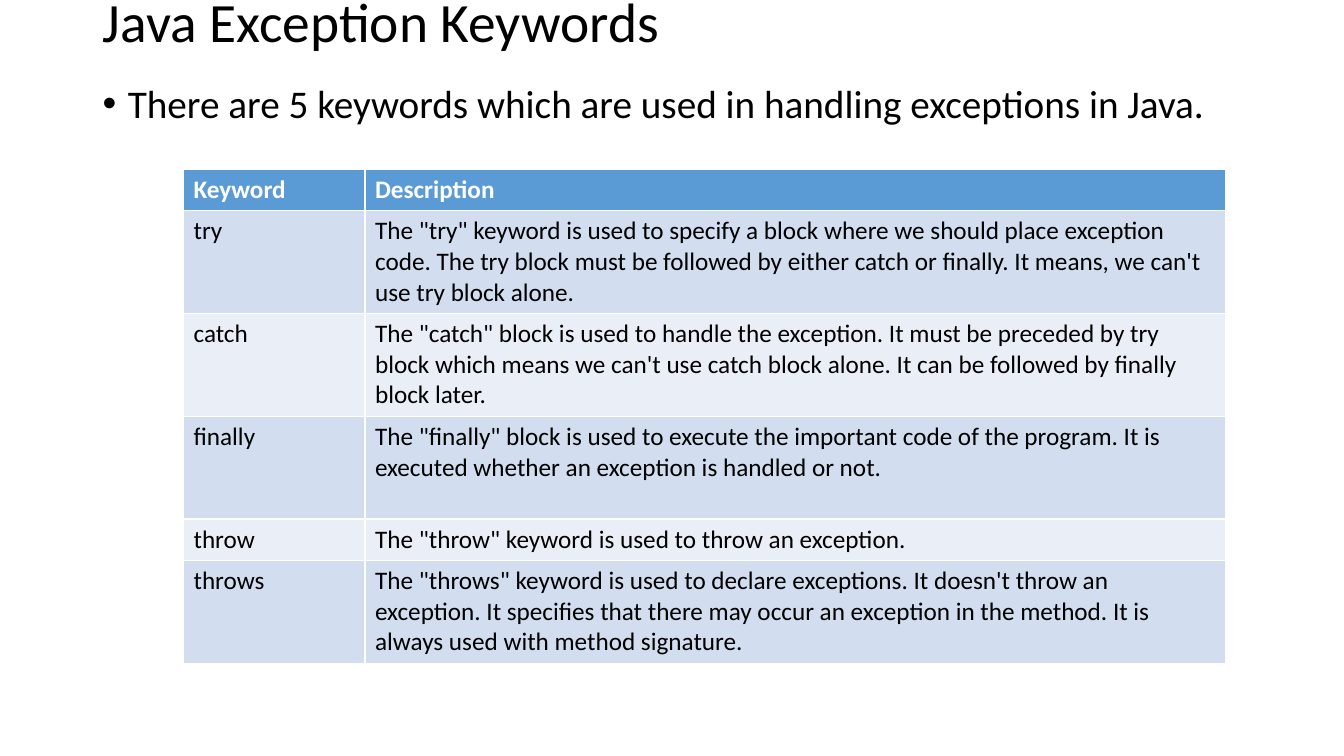
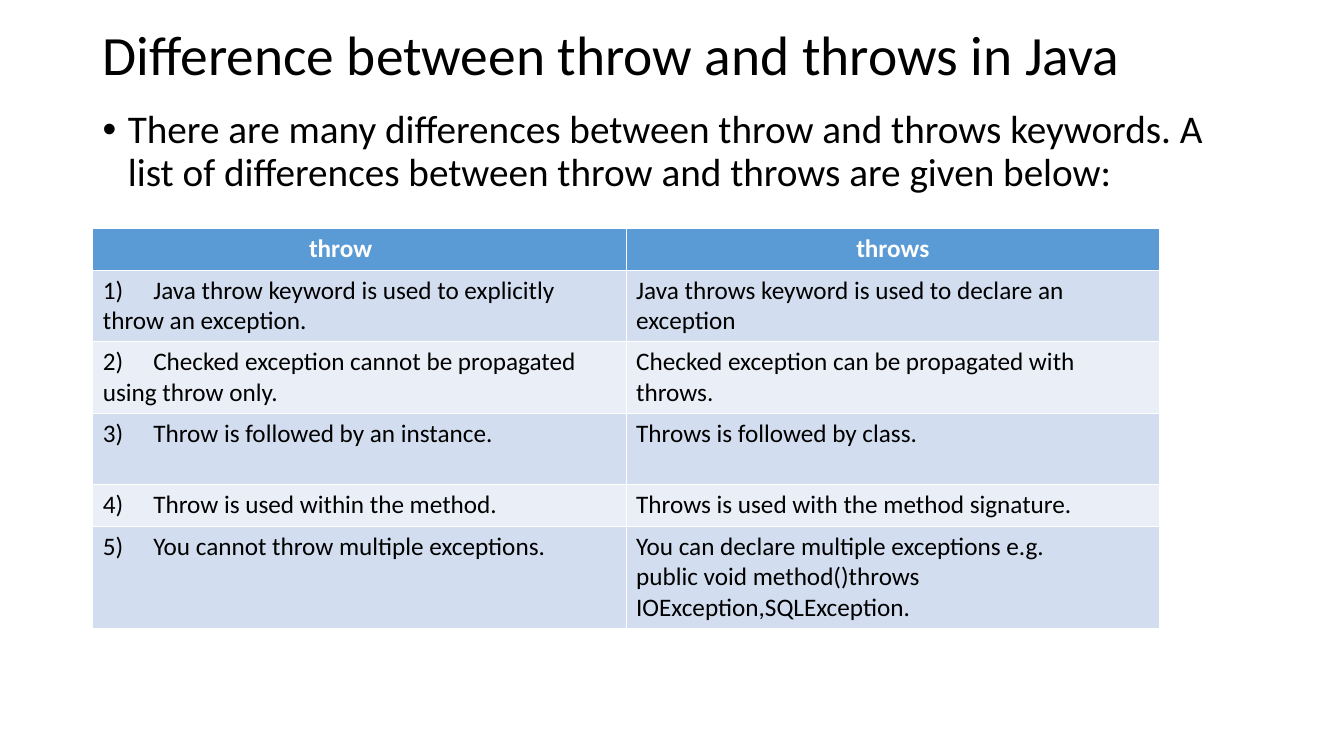
from dataclasses import dataclass

from lxml.etree import SubElement
from pptx import Presentation
from pptx.dml.color import RGBColor as RGB
from pptx.enum.text import MSO_ANCHOR as Anchor, MSO_AUTO_SIZE as Fit, PP_ALIGN as Align
from pptx.oxml.ns import qn
from pptx.util import Inches, Pt


@dataclass(frozen=True)
class Theme:
    face: str = "Calibri"
    ink: str = "000000"
    white: str = "FFFFFF"
    head: str = "5B9BD5"
    bands: tuple = ("D2DEEF", "EAEFF7")
    title: float = 39.6
    body: float = 28
    cell: float = 18
    left: float = 0.92
    width: float = 11.5
    line: float = 0.9


THEME = Theme()
ROWS = {1: 0.41, 2: 0.71, 3: 1.02}

SLIDES = [
    {
        "title": "Java Exception Keywords",
        "title_at": (0.1, 0.29),
        "lead": "There are 5 keywords which are used in handling exceptions in Java.",
        "lead_at": (0.79, 0.7),
        "grid_at": (1.82, 1.68),
        "cols": (1.8, 8.54),
        "lines": (1, 3, 3, 3, 1, 3),
        "align": Align.LEFT,
        "cells": [
            ("Keyword", "Description"),
            ("try", 'The "try" keyword is used to specify a block where we should place '
                    "exception code. The try block must be followed by either catch or "
                    "finally. It means, we can't use try block alone."),
            ("catch", 'The "catch" block is used to handle the exception. It must be '
                      "preceded by try block which means we can't use catch block alone. "
                      "It can be followed by finally block later."),
            ("finally", 'The "finally" block is used to execute the important code of the '
                        "program. It is executed whether an exception is handled or not."),
            ("throw", 'The "throw" keyword is used to throw an exception.'),
            ("throws", 'The "throws" keyword is used to declare exceptions. It doesn\'t '
                       "throw an exception. It specifies that there may occur an exception "
                       "in the method. It is always used with method signature."),
        ],
    },
    {
        "title": "Difference between throw and throws in Java",
        "title_at": (0.4, 0.34),
        "lead": "There are many differences between throw and throws keywords. "
                "A list of differences between throw and throws are given below:",
        "lead_at": (1.04, 1.1),
        "grid_at": (0.92, 2.27),
        "cols": (5.29, 5.29),
        "lines": (1, 2, 2, 2, 1, 3),
        "align": Align.CENTER,
        "cells": [
            ("throw\t", "throws"),
            ("1)\tJava throw keyword is used to explicitly throw an exception.",
             "Java throws keyword is used to declare an exception"),
            ("2)\tChecked exception cannot be propagated using throw only.",
             "Checked exception can be propagated with throws."),
            ("3)\tThrow is followed by an instance.", "Throws is followed by class."),
            ("4)\tThrow is used within the method.",
             "Throws is used with the method signature."),
            ("5)\tYou cannot throw multiple exceptions.",
             "You can declare multiple exceptions e.g.\n"
             "public void method()throws IOException,SQLException."),
        ],
    },
]


def style(para, size, color=THEME.ink, bold=False):
    font = para.font
    font.name, font.size, font.bold = THEME.face, Pt(size), bold
    font.color.rgb = RGB.from_string(color)


def add_title(slide, text, top, height):
    shape = slide.shapes.title
    shape.left, shape.top = Inches(THEME.left), Inches(top)
    shape.width, shape.height = Inches(THEME.width), Inches(height)
    frame = shape.text_frame
    frame.text = text
    frame.auto_size = Fit.NONE
    frame.vertical_anchor = Anchor.MIDDLE
    para = frame.paragraphs[0]
    para.alignment, para.line_spacing = Align.LEFT, THEME.line
    style(para, THEME.title)


def add_lead(slide, text, top, height):
    box = slide.shapes.add_textbox(
        Inches(THEME.left), Inches(top), Inches(THEME.width), Inches(height))
    frame = box.text_frame
    frame.word_wrap = True
    para = frame.paragraphs[0]
    para.text = text
    para.line_spacing, para.space_before = THEME.line, Pt(10)
    style(para, THEME.body)
    props = para._p.get_or_add_pPr()
    props.set("marL", str(Inches(0.25)))
    props.set("indent", str(Inches(-0.25)))
    bullet = SubElement(props, qn("a:buFont"))
    bullet.set("typeface", "Arial")
    SubElement(props, qn("a:buChar")).set("char", "•")
    props.append(props.find(qn("a:defRPr")))


def add_grid(slide, data):
    cells, cols = data["cells"], data["cols"]
    highs = [ROWS[count] for count in data["lines"]]
    left, top = data["grid_at"]
    table = slide.shapes.add_table(
        len(cells), len(cols), Inches(left), Inches(top),
        Inches(sum(cols)), Inches(sum(highs))).table
    for col, width in zip(table.columns, cols):
        col.width = Inches(width)
    for num, (row, high, texts) in enumerate(zip(table.rows, highs, cells)):
        row.height = Inches(high)
        head = num == 0
        fill = THEME.head if head else THEME.bands[(num - 1) % 2]
        for cell, text in zip(row.cells, texts):
            cell.text = text
            cell.fill.solid()
            cell.fill.fore_color.rgb = RGB.from_string(fill)
            for para in cell.text_frame.paragraphs:
                para.alignment = data["align"] if head else Align.LEFT
                style(para, THEME.cell, THEME.white if head else THEME.ink, head)


def main():
    deck = Presentation()
    deck.slide_width, deck.slide_height = Inches(13.33), Inches(7.5)
    layout = deck.slide_layouts.get_by_name("Title Only")
    for data in SLIDES:
        slide = deck.slides.add_slide(layout)
        add_title(slide, data["title"], *data["title_at"])
        add_lead(slide, data["lead"], *data["lead_at"])
        add_grid(slide, data)
    deck.save("out.pptx")


if __name__ == "__main__":
    main()
